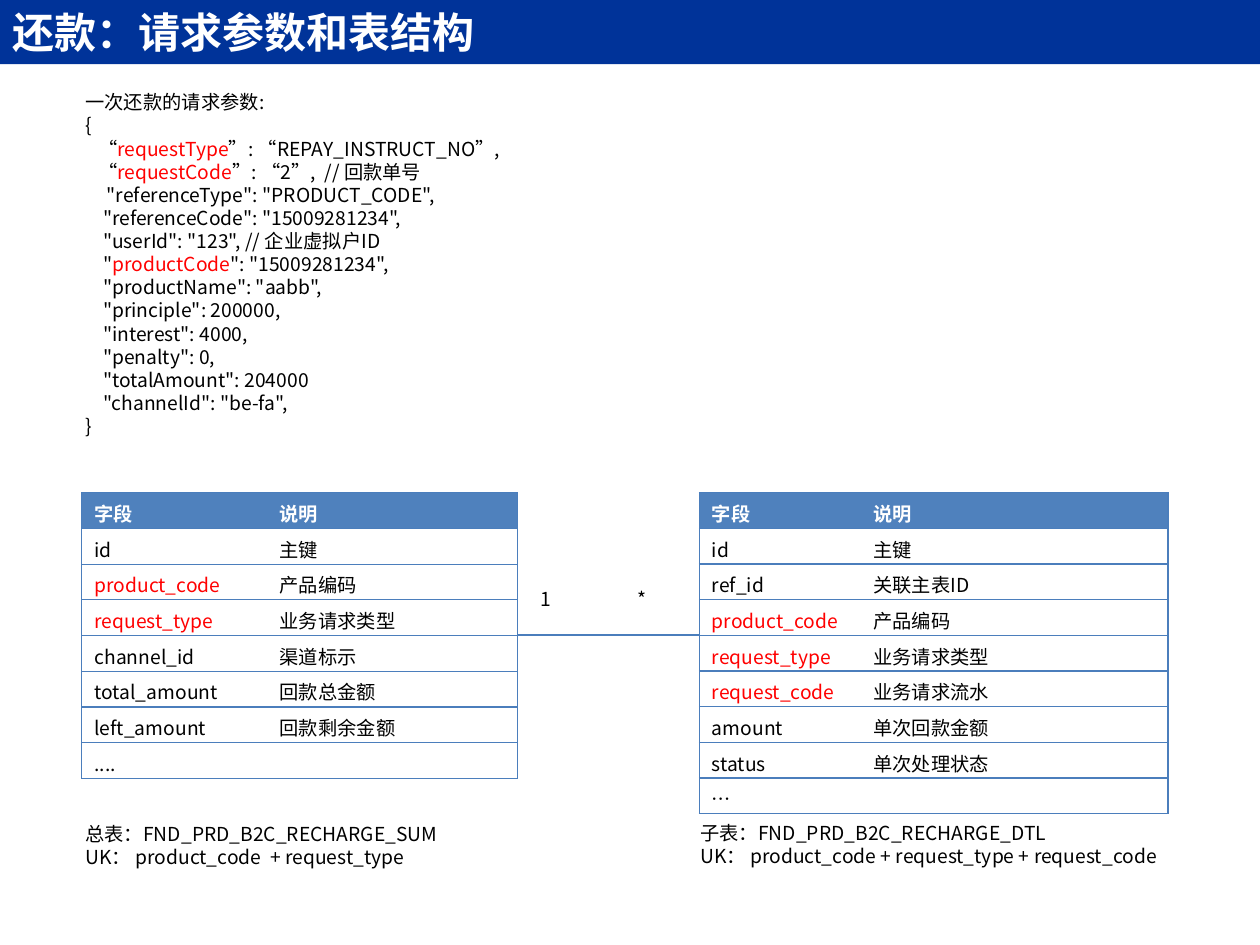
from lxml import etree
from pptx import Presentation
from pptx.dml.color import RGBColor
from pptx.enum.shapes import MSO_CONNECTOR
from pptx.enum.text import MSO_ANCHOR, MSO_AUTO_SIZE, PP_ALIGN
from pptx.oxml.ns import qn
from pptx.util import Inches, Pt

STRAIGHT = MSO_CONNECTOR.STRAIGHT
MIDDLE = MSO_ANCHOR.MIDDLE
LEFT = PP_ALIGN.LEFT
NO_AUTOFIT = MSO_AUTO_SIZE.NONE
FONT = "Noto Sans CJK SC"
BLACK, WHITE, RED = "000000", "FFFFFF", "FF0000"
BANNER, HEADER, RULE = "003399", "4F81BD", "4B7EBC"
KEY_FIELDS = {"product_code", "request_type", "request_code"}

REQUEST_LINES = [
    (0, ["一次还款的请求参数:"]),
    (0, ["{"]),
    (0.1, ["“", "requestType", "”: “REPAY_INSTRUCT_NO”,\n“",
           "requestCode", "”: “2”, \u00a0//\u00a0回款单号"]),
    (0.17, ['"referenceType": "PRODUCT_CODE",']),
    (0.14, ['"referenceCode": "15009281234",']),
    (0.14, ['"userId": "123", // 企业虚拟户ID']),
    (0.14, ['"', "productCode", '": "15009281234",']),
    (0.14, ['"productName": "aabb",']),
    (0.14, ['"principle": 200000,']),
    (0.14, ['"interest": 4000,']),
    (0.14, ['"penalty": 0,']),
    (0.14, ['"totalAmount": 204000']),
    (0.14, ['"channelId": "be-fa",']),
    (0, ["}"]),
]
SUMMARY_ROWS = [
    ("字段", "说明"), ("id", "主键"), ("product_code", "产品编码"),
    ("request_type", "业务请求类型"), ("channel_id", "渠道标示"),
    ("total_amount", "回款总金额"), ("left_amount", "回款剩余金额"), ("....", ""),
]
DETAIL_ROWS = [
    ("字段", "说明"), ("id", "主键"), ("ref_id", "关联主表ID"),
    ("product_code", "产品编码"), ("request_type", "业务请求类型"),
    ("request_code", "业务请求流水"), ("amount", "单次回款金额"),
    ("status", "单次处理状态"), ("…", ""),
]


def color(value):
    """Return the colour for a hex string."""
    return RGBColor.from_string(value)


def add_run(paragraph, text, font_color=BLACK, **formats):
    """Add a run with the slide font and the given format values."""
    run = paragraph.add_run()
    run.text = text
    values = {"name": FONT, "size": Pt(11), "bold": False, **formats}
    for name, value in values.items():
        setattr(run.font, name, value)
    run.font.color.rgb = color(font_color)
    east_asian = etree.SubElement(run.font._element, qn("a:ea"))
    east_asian.set("typeface", FONT)


def add_title(slide, text):
    """Turn the title placeholder into the banner."""
    title = slide.shapes.title
    bounds = {"left": 0, "top": 0, "width": Inches(10), "height": Inches(0.51)}
    for name, value in bounds.items():
        setattr(title, name, value)
    title.fill.solid()
    title.fill.fore_color.rgb = color(BANNER)
    frame = title.text_frame
    frame.auto_size, frame.vertical_anchor = NO_AUTOFIT, MIDDLE
    paragraph = frame.paragraphs[0]
    paragraph.alignment = LEFT
    add_run(paragraph, text, WHITE, size=Pt(24), bold=True)


def add_text(slide, left, top, width, height, lines):
    """Add a text box from indented lines whose odd parts are red."""
    box = slide.shapes.add_textbox(*map(Inches, (left, top, width, height)))
    frame = box.text_frame
    frame.word_wrap = True
    for index, (indent, parts) in enumerate(lines):
        paragraph = frame.add_paragraph() if index else frame.paragraphs[0]
        properties = paragraph._p.get_or_add_pPr()
        properties.set("marL", str(Inches(indent)))
        properties.set("indent", "0")
        for position, part in enumerate(parts):
            for piece_index, piece in enumerate(part.split("\n")):
                if piece_index:
                    paragraph.add_line_break()
                add_run(paragraph, piece, RED if position % 2 else BLACK)


def set_borders(cell, visible_sides):
    """Draw the visible sides of a cell and clear the others."""
    properties = cell._tc.get_or_add_tcPr()
    for side in "LRTB":
        line = etree.SubElement(properties, qn(f"a:ln{side}"), w=str(Pt(0.75)))
        if side in visible_sides:
            fill = etree.SubElement(line, qn("a:solidFill"))
            etree.SubElement(fill, qn("a:srgbClr"), val=RULE)
        else:
            etree.SubElement(line, qn("a:noFill"))


def fill_cell(cell, text, is_header):
    """Fill a cell and write its text."""
    cell.margin_bottom = Inches(0.01)
    if is_header:
        cell.fill.solid()
        cell.fill.fore_color.rgb = color(HEADER)
    else:
        cell.fill.background()
    paragraph = cell.text_frame.paragraphs[0]
    if text:
        body_color = RED if text in KEY_FIELDS else BLACK
        add_run(paragraph, text, WHITE if is_header else body_color, bold=is_header)
    else:
        etree.SubElement(paragraph._p, qn("a:endParaRPr"), sz="1100")


def add_field_table(slide, left, height, column_widths, rows):
    """Add a field table with a header row and highlighted key fields."""
    frame = slide.shapes.add_table(
        len(rows), 2, Inches(left), Inches(3.91),
        Inches(sum(column_widths)), Inches(height))
    table = frame.table
    for column, width in zip(table.columns, column_widths):
        column.width = Inches(width)
    for row_index, values in enumerate(rows):
        for column_index, text in enumerate(values):
            cell = table.cell(row_index, column_index)
            set_borders(cell, "TB" + "LR"[column_index])
            fill_cell(cell, text, row_index == 0)


def add_relation(slide):
    """Connect the tables and label the one-to-many relation."""
    line = slide.shapes.add_connector(
        STRAIGHT, Inches(4.11), Inches(5.04), Inches(5.55), Inches(5.04))
    line.line.color.rgb = color(RULE)
    line.line.width = Pt(0.75)
    etree.SubElement(line._element.spPr, qn("a:effectLst"))
    for left, label in ((4.19, "1"), (4.96, "*")):
        add_text(slide, left, 4.61, 0.5, 0.29, [(0, [label])])


def main():
    """Build and save the slide."""
    presentation = Presentation()
    presentation.slide_width, presentation.slide_height = Inches(10), Inches(7.5)
    slide = presentation.slides.add_slide(presentation.slide_layouts[5])
    add_title(slide, "还款：请求参数和表结构")
    add_field_table(slide, 0.65, 2.27, (1.47, 1.99), SUMMARY_ROWS)
    add_field_table(slide, 5.55, 2.55, (1.28, 2.44), DETAIL_ROWS)
    add_text(slide, 0.58, 6.48, 3.13, 0.47, [
        (0, ["总表：FND_PRD_B2C_RECHARGE_SUM"]),
        (0, ["UK： product_code  + request_type"])])
    add_text(slide, 5.46, 6.47, 3.98, 0.47, [
        (0, ["子表：FND_PRD_B2C_RECHARGE_DTL"]),
        (0, ["UK： product_code + request_type + request_code"])])
    add_relation(slide)
    add_text(slide, 0.58, 0.67, 4.63, 2.88, REQUEST_LINES)
    presentation.save("out.pptx")


main()
